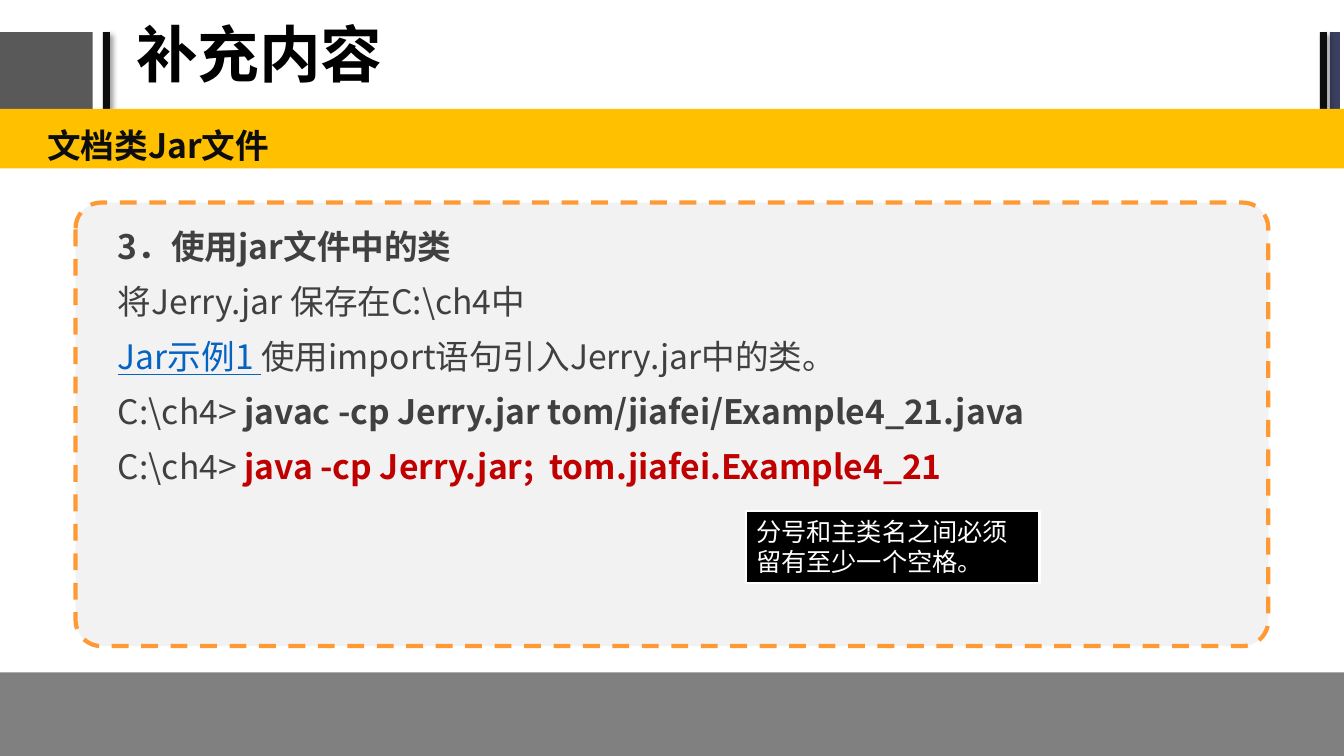
from pptx import Presentation
from pptx.util import Inches, Pt
from pptx.dml.color import RGBColor
from pptx.enum.dml import MSO_LINE
from pptx.enum.shapes import MSO_SHAPE
from pptx.enum.text import MSO_ANCHOR, PP_ALIGN
from pptx.oxml import parse_xml
from pptx.oxml.ns import nsdecls
from lxml.etree import SubElement

FONT = "Noto Sans CJK SC"
COLORS = {
    "gray": "595959", "ink": "0D0D0D", "navy": "3B3F60", "black": "000000",
    "panel": "F2F2F2", "orange": "FF9933", "text": "404040", "link": "0563C1",
    "red": "C00000", "footer": "808080", "yellow": "FFC000", "white": "FFFFFF",
}
W, H = 13.33, 7.5
BAR_TOP, BAND_TOP, BAND_H = 0.32, 1.08, 0.59
FOOTER_TOP = 6.67

prs = Presentation()
prs.slide_width, prs.slide_height = Inches(W), Inches(H)
s = prs.slides.add_slide(prs.slide_layouts[5])


def add_box(kind, x, y, w, h, fill, line=None, width=0):
    sp = s.shapes.add_shape(kind, Inches(x), Inches(y), Inches(w), Inches(h))
    sp.shadow.inherit = False
    sp.fill.solid()
    sp.fill.fore_color.rgb = RGBColor.from_string(COLORS[fill])
    if line:
        sp.line.color.rgb = RGBColor.from_string(COLORS[line])
        sp.line.width = Pt(width)
    else:
        sp.line.fill.background()
    return sp


def add_run(p, text, size, color, bold=False, underline=False):
    r = p.add_run()
    r.text = text
    r.font.size, r.font.bold, r.font.name = Pt(size), bold, FONT
    r.font.color.rgb = RGBColor.from_string(COLORS[color])
    if underline:
        r.font.underline = True
    ea = SubElement(r.font._element, r.font._element.find("{*}latin").tag.replace("latin", "ea"))
    ea.set("typeface", FONT)


bars = [(0, 0.92, "gray", False), (1.02, 0.07, "ink", True),
        (13.19, 0.1, "navy", False), (13.09, 0.07, "ink", True)]
for x, w, fill, shadow in bars:
    sp = add_box(MSO_SHAPE.RECTANGLE, x, BAR_TOP, w, BAND_TOP - BAR_TOP, fill)
    if shadow:
        effects = sp._element.spPr.find("{*}effectLst")
        effects.append(parse_xml(
            f'<a:outerShdw {nsdecls("a")} blurRad="{Pt(4)}" dist="{Pt(3)}" dir="2700000">'
            f'<a:srgbClr val="{COLORS["black"]}"><a:alpha val="40000"/></a:srgbClr></a:outerShdw>'))

title = s.shapes.title
title.left, title.top, title.width, title.height = Inches(1.25), Inches(0.02), Inches(8.47), Inches(1.1)
tf = title.text_frame
tf.vertical_anchor = MSO_ANCHOR.MIDDLE
p = tf.paragraphs[0]
p.alignment, p.line_spacing = PP_ALIGN.LEFT, 0.9
add_run(p, "补充内容", 44, "black", True)

panel = add_box(MSO_SHAPE.ROUNDED_RECTANGLE, 0.75, 2.01, 11.83, 4.4, "panel", "orange", 3)
panel.adjustments[0] = 0.058
panel.line.dash_style = MSO_LINE.DASH

add_box(MSO_SHAPE.RECTANGLE, 0, FOOTER_TOP, W, H - FOOTER_TOP, "footer")
add_box(MSO_SHAPE.RECTANGLE, 0, BAND_TOP, W, BAND_H, "yellow")

heading = [[("文档类Jar文件", "ink", True)]]
body = [
    [("3．使用jar文件中的类", "text", True)],
    [("将Jerry.jar 保存在C:\\ch4中", "text")],
    [("Jar示例1 ", "link", False, True), ("使用import语句引入Jerry.jar中的类。", "text")],
    [("C:\\ch4> ", "text"), ("javac -cp Jerry.jar tom/jiafei/Example4_21.java", "text", True)],
    [("C:\\ch4> ", "text"), ("java -cp Jerry.jar;  tom.jiafei.Example4_21", "red", True)],
]
for x, y, w, h, lines in [(0.34, 1.09, 12.99, 0.58, heading), (1.04, 2.09, 11, 4.08, body)]:
    tf = s.shapes.add_textbox(Inches(x), Inches(y), Inches(w), Inches(h)).text_frame
    tf.word_wrap = True
    tf.margin_left = tf.margin_right = Inches(0.13)
    tf.margin_top = tf.margin_bottom = Inches(0.07)
    for i, runs in enumerate(lines):
        p = tf.add_paragraph() if i else tf.paragraphs[0]
        p.line_spacing = 1.2
        if i:
            p.space_before = Pt(4.8)
        for text, color, *style in runs:
            add_run(p, text, 24, color, *style)

note = add_box(MSO_SHAPE.RECTANGLE, 7.4, 5.07, 2.91, 0.71, "black", "white", 1.5)
tf = note.text_frame
tf.word_wrap = True
tf.vertical_anchor = MSO_ANCHOR.TOP
p = tf.paragraphs[0]
p.alignment = PP_ALIGN.LEFT
add_run(p, "分号和主类名之间必须留有至少一个空格。", 18, "white")

prs.save("out.pptx")
